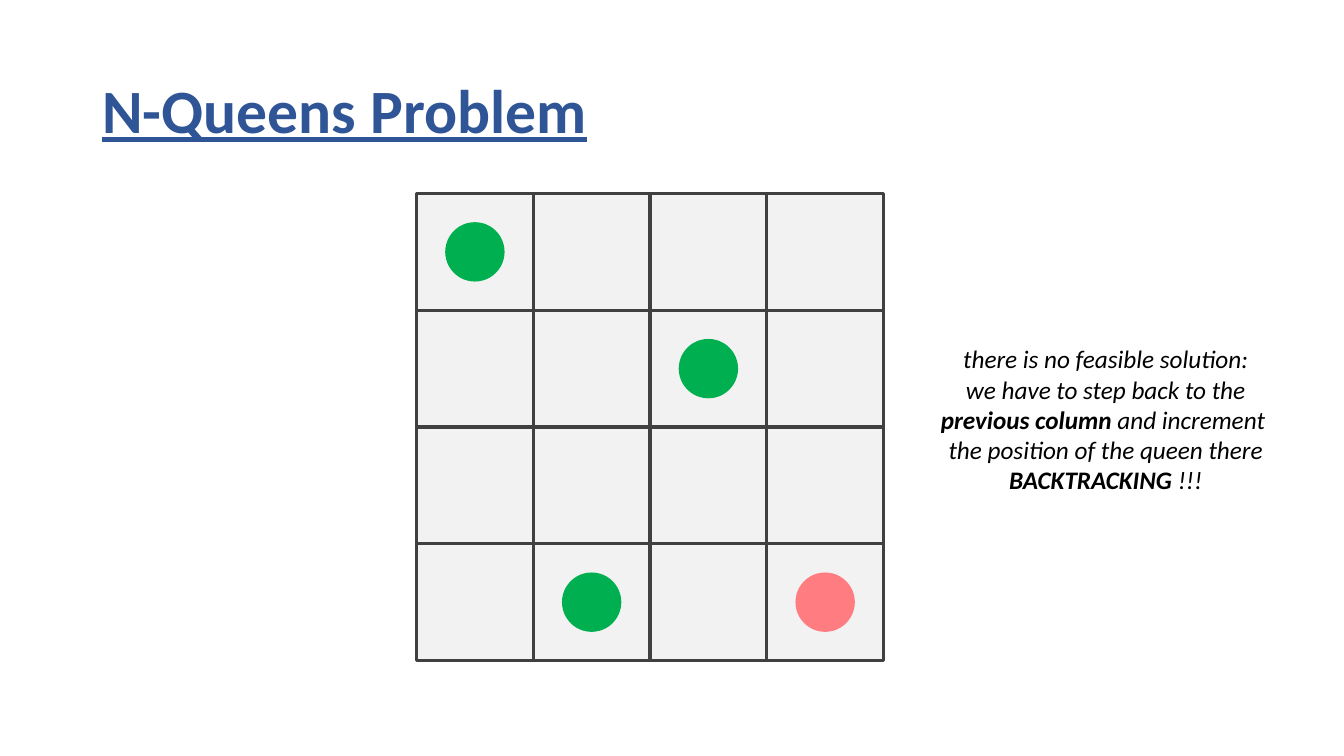
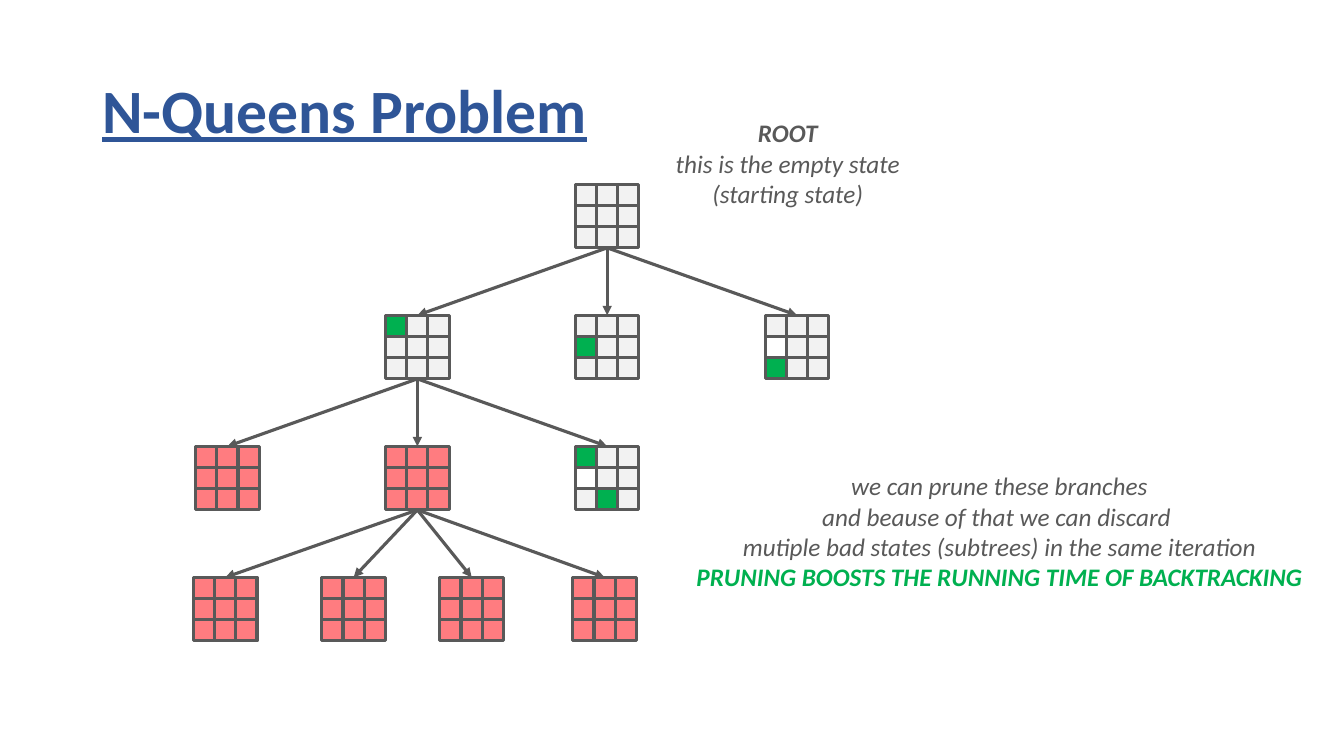
from lxml.etree import SubElement
from pptx import Presentation
from pptx.dml.color import RGBColor
from pptx.enum.shapes import MSO_CONNECTOR as Connector, MSO_SHAPE as Shape
from pptx.enum.text import MSO_ANCHOR as Anchor, PP_ALIGN as Align
from pptx.oxml.ns import qn
from pptx.util import Pt

TITLE_BLUE = RGBColor(0x2F, 0x55, 0x97)
BLACK = RGBColor(0x00, 0x00, 0x00)
WHITE = RGBColor(0xFF, 0xFF, 0xFF)
DARK_GRAY = RGBColor(0x40, 0x40, 0x40)
GRAY = RGBColor(0x59, 0x59, 0x59)
LIGHT_GRAY = RGBColor(0xF2, 0xF2, 0xF2)
GREEN = RGBColor(0x00, 0xB0, 0x50)
RED = RGBColor(0xFF, 0x7C, 0x80)

FONT = "Calibri"
LINE_WIDTH = Pt(2.25)
CELL_FILLS = {".": LIGHT_GRAY, "o": WHITE, "Q": GREEN, "x": RED}


def add_note(slide, left, top, width, height, lines):
    """Add centred italic text; each line is a list of (text, bold, colour) runs."""
    box = slide.shapes.add_textbox(Pt(left), Pt(top), Pt(width), Pt(height))
    frame = box.text_frame
    frame.word_wrap = False
    for number, line in enumerate(lines):
        paragraph = frame.add_paragraph() if number else frame.paragraphs[0]
        paragraph.alignment = Align.CENTER
        for text, bold, color in line:
            run = paragraph.add_run()
            run.text = text
            run.font.name, run.font.size = FONT, Pt(18)
            run.font.italic, run.font.bold = True, bold
            run.font.color.rgb = color


def add_board(slide, left, top, cell, rows, line_color):
    """Draw a chessboard; each character of rows picks the fill of a cell."""
    for row, marks in enumerate(rows):
        for column, mark in enumerate(marks):
            square = slide.shapes.add_shape(
                Shape.RECTANGLE, Pt(left + column * cell), Pt(top + row * cell), Pt(cell), Pt(cell))
            square.shadow.inherit = False
            square.fill.solid()
            square.fill.fore_color.rgb = CELL_FILLS[mark]
            square.line.color.rgb = line_color
            square.line.width = LINE_WIDTH


presentation = Presentation()
presentation.slide_width, presentation.slide_height = Pt(960), Pt(540)
blank_layout = presentation.slide_layouts[6]
board_slide, tree_slide = [presentation.slides.add_slide(blank_layout) for _ in range(2)]

# Title shared by both slides
for slide in (board_slide, tree_slide):
    title = slide.shapes.add_textbox(Pt(66), Pt(28.75), Pt(828), Pt(104.4))
    title.text_frame.word_wrap = True
    title.text_frame.vertical_anchor = Anchor.MIDDLE
    paragraph = title.text_frame.paragraphs[0]
    paragraph.line_spacing = 0.9
    run = paragraph.add_run()
    run.text = "N-Queens Problem"
    run.font.name, run.font.size = FONT, Pt(44)
    run.font.bold = run.font.underline = True
    run.font.color.rgb = TITLE_BLUE

# Slide 1: four by four board with queens
BOARD_LEFT, BOARD_TOP, BOARD_CELL, QUEEN = 297.5, 138.2, 83.4, 41.4
QUEENS = [(0, 0, GREEN), (3, 1, GREEN), (1, 2, GREEN), (3, 3, RED)]

add_board(board_slide, BOARD_LEFT, BOARD_TOP, BOARD_CELL, ["...."] * 4, DARK_GRAY)
inset = (BOARD_CELL - QUEEN) / 2
for row, column, color in QUEENS:
    queen = board_slide.shapes.add_shape(
        Shape.OVAL, Pt(BOARD_LEFT + column * BOARD_CELL + inset),
        Pt(BOARD_TOP + row * BOARD_CELL + inset), Pt(QUEEN), Pt(QUEEN))
    queen.shadow.inherit = False
    queen.fill.solid()
    queen.fill.fore_color.rgb = color
    queen.line.color.rgb = color
    queen.line.width = Pt(1)

add_note(board_slide, 662.4, 241.9, 254.9, 116.6, [
    [("there is no feasible solution:", False, BLACK)],
    [(" we have to step back to the ", False, BLACK)],
    [("previous column ", True, BLACK), ("and increment ", False, BLACK)],
    [("the position of the queen there", False, BLACK)],
    [("BACKTRACKING", True, BLACK), (" !!!", False, BLACK)],
])

# Slide 2: tree of three by three boards
TREE_CELL = 15.15
TREE_BOARD = 3 * TREE_CELL
LEVEL_TOPS = [131.6 + 93.6 * level for level in range(4)]
COLUMNS = [139.8 + 135.6 * column for column in range(4)]
EMPTY = ["...", "...", "..."]
PRUNED = ["xxx", "xxx", "xxx"]
# name: (parent, level, left, rows)
STATES = {
    "root": (None, 0, COLUMNS[2], EMPTY),
    "first row": ("root", 1, COLUMNS[1], ["Q..", "...", "..."]),
    "second row": ("root", 1, COLUMNS[2], ["...", "Q..", "..."]),
    "third row": ("root", 1, COLUMNS[3], ["...", "o..", "Q.."]),
    "same row": ("first row", 2, COLUMNS[0], PRUNED),
    "diagonal": ("first row", 2, COLUMNS[1], PRUNED),
    "feasible": ("first row", 2, COLUMNS[2], ["Q..", "o..", ".Q."]),
    "leaf 1": ("diagonal", 3, 138.2, PRUNED),
    "leaf 2": ("diagonal", 3, 229.9, PRUNED),
    "leaf 3": ("diagonal", 3, 314.2, PRUNED),
    "leaf 4": ("diagonal", 3, 409.2, PRUNED),
}

for parent, level, left, rows in STATES.values():
    add_board(tree_slide, left, LEVEL_TOPS[level], TREE_CELL, rows, GRAY)

for parent, level, left, rows in STATES.values():
    if parent is None:
        continue
    _, parent_level, parent_left, _ = STATES[parent]
    arrow = tree_slide.shapes.add_connector(
        Connector.STRAIGHT,
        Pt(parent_left + TREE_BOARD / 2), Pt(LEVEL_TOPS[parent_level] + TREE_BOARD),
        Pt(left + TREE_BOARD / 2), Pt(LEVEL_TOPS[level]))
    arrow.line.color.rgb = GRAY
    arrow.line.width = LINE_WIDTH
    properties = arrow.element.spPr
    SubElement(properties.find(qn("a:ln")), qn("a:tailEnd"), type="triangle")
    SubElement(properties, qn("a:effectLst"))

add_note(tree_slide, 470.9, 80.6, 183.6, 94.3, [
    [("ROOT", True, GRAY)],
    [("this is the empty state", False, GRAY)],
    [("(starting state)", False, GRAY)],
])
add_note(tree_slide, 481.7, 332.6, 464.4, 116.6, [
    [("we can prune these branches", False, GRAY)],
    [("and beause of that we can discard ", False, GRAY)],
    [("mutiple bad states (subtrees) in the same iteration", False, GRAY)],
    [("PRUNING BOOSTS THE RUNNING TIME OF BACKTRACKING", True, GREEN)],
])

presentation.save("out.pptx")
